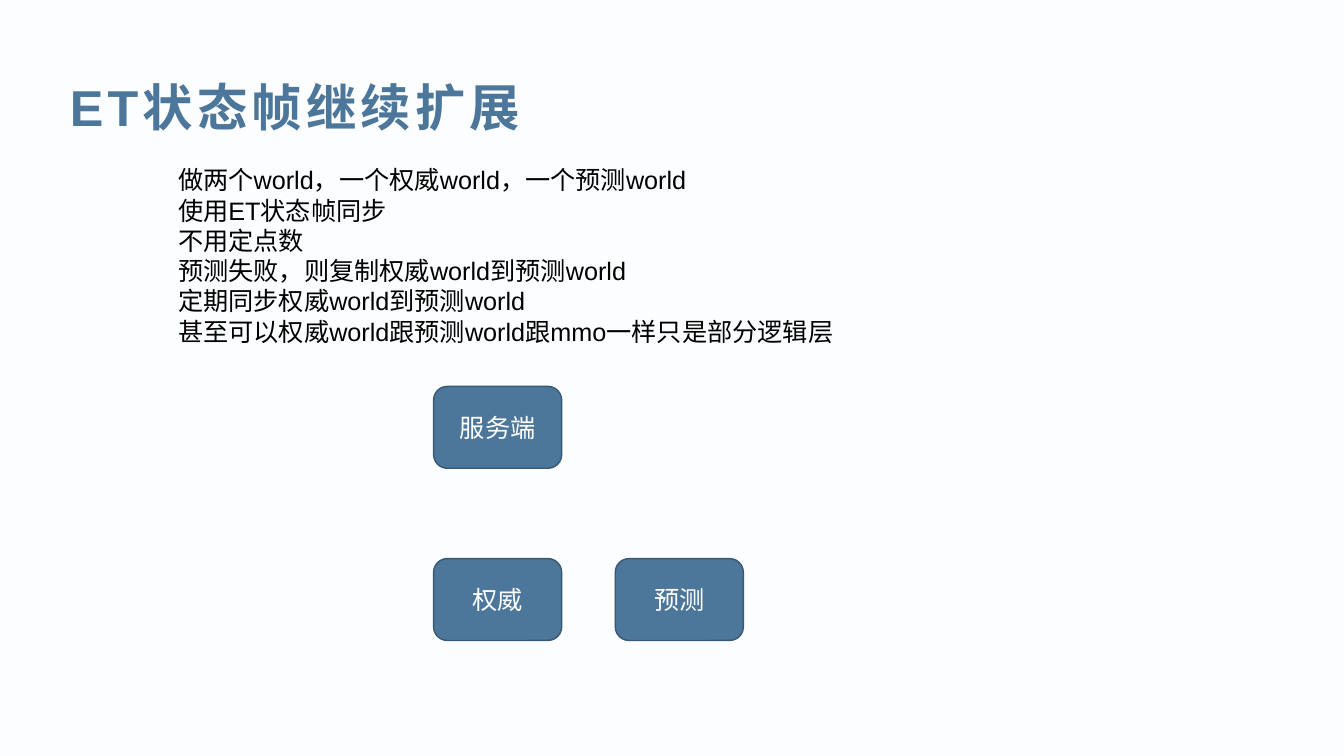
"""Build the slide on extending ET state frames with two worlds."""
from dataclasses import dataclass

from pptx import Presentation
from pptx.dml.color import RGBColor
from pptx.enum.shapes import MSO_SHAPE
from pptx.enum.text import MSO_ANCHOR, MSO_AUTO_SIZE, PP_ALIGN
from pptx.oxml.xmlchemy import OxmlElement
from pptx.util import Emu, Pt

ROUNDED = MSO_SHAPE.ROUNDED_RECTANGLE
TOP, MIDDLE = MSO_ANCHOR.TOP, MSO_ANCHOR.MIDDLE
LEFT, CENTER = PP_ALIGN.LEFT, PP_ALIGN.CENTER
NO_AUTOFIT = MSO_AUTO_SIZE.NONE
EMU_PER_PX = 9525


@dataclass(frozen=True)
class Theme:
    """Colours, font and type sizes of the slide."""
    background: RGBColor = RGBColor(0xFB, 0xFD, 0xFE)
    accent: RGBColor = RGBColor(0x4D, 0x77, 0x9A)
    outline: RGBColor = RGBColor(0x39, 0x58, 0x72)
    ink: RGBColor = RGBColor(0, 0, 0)
    light: RGBColor = RGBColor(0xFF, 0xFF, 0xFF)
    font: str = "Arial"
    title_size: int = 36
    text_size: int = 18
    title_spacing: int = 300


@dataclass(frozen=True)
class Frame:
    """Position and size in px."""
    left: int
    top: int
    width: int
    height: int


@dataclass(frozen=True)
class Node:
    """A labelled box at a grid column and row."""
    label: str
    column: int
    row: int


THEME = Theme()
TITLE_FRAME = Frame(57, 64, 1179, 74)
BODY_FRAME = Frame(160, 152, 972, 510)
GRID = Frame(413, 368, 122, 78)
COLUMN_STEP, ROW_STEP = 173, 164

TITLE = "ET状态帧继续扩展"
POINTS = (
    "做两个world，一个权威world，一个预测world",
    "使用ET状态帧同步",
    "不用定点数",
    "预测失败，则复制权威world到预测world",
    "定期同步权威world到预测world",
    "甚至可以权威world跟预测world跟mmo一样只是部分逻辑层",
)
NODES = (Node("预测", 1, 1), Node("权威", 0, 1), Node("服务端", 0, 0))


def px(length: int) -> Emu:
    """Turn px into EMU."""
    return Emu(length * EMU_PER_PX)


def place(box, frame: Frame) -> None:
    """Move and size a box."""
    box.left, box.top = px(frame.left), px(frame.top)
    box.width, box.height = px(frame.width), px(frame.height)


def write(para, text: str, size: int, color: RGBColor, align: PP_ALIGN, bold: bool = False):
    """Add one formatted run to a paragraph and return it."""
    para.alignment = align
    para.line_spacing = 1.0
    para.space_before = para.space_after = Pt(0)
    span = para.add_run()
    span.text = text
    span.font.name = THEME.font
    span.font.size = Pt(size)
    span.font.bold = bold
    span.font.color.rgb = color
    return span


def prepare(box, anchor: MSO_ANCHOR):
    """Set wrapping and anchoring, and return the text frame."""
    text_frame = box.text_frame
    text_frame.word_wrap = True
    text_frame.auto_size = NO_AUTOFIT
    text_frame.vertical_anchor = anchor
    return text_frame


def fill_title(box) -> None:
    """Write the spaced title."""
    place(box, TITLE_FRAME)
    para = prepare(box, MIDDLE).paragraphs[0]
    span = write(para, TITLE, THEME.title_size, THEME.accent, LEFT, bold=True)
    span.font._element.set("spc", str(THEME.title_spacing))


def fill_body(box) -> None:
    """Write the points as plain lines."""
    place(box, BODY_FRAME)
    text_frame = prepare(box, TOP)
    for index, point in enumerate(POINTS):
        para = text_frame.add_paragraph() if index else text_frame.paragraphs[0]
        write(para, point, THEME.text_size, THEME.ink, LEFT)
        properties = para._p.get_or_add_pPr()
        properties.set("marL", "0")
        properties.set("indent", "0")
        properties.append(OxmlElement("a:buNone"))


def draw_node(page, node: Node) -> None:
    """Draw one rounded box on the grid."""
    left = GRID.left + node.column * COLUMN_STEP
    top = GRID.top + node.row * ROW_STEP
    box = page.shapes.add_shape(ROUNDED, px(left), px(top), px(GRID.width), px(GRID.height))
    box.shadow.inherit = False
    box.fill.solid()
    box.fill.fore_color.rgb = THEME.accent
    box.line.color.rgb = THEME.outline
    box.line.width = Pt(1)
    para = prepare(box, MIDDLE).paragraphs[0]
    write(para, node.label, THEME.text_size, THEME.light, CENTER)


def main() -> None:
    """Build and save the deck."""
    deck = Presentation()
    deck.slide_width, deck.slide_height = px(1280), px(720)
    page = deck.slides.add_slide(deck.slide_layouts[1])
    page.background.fill.solid()
    page.background.fill.fore_color.rgb = THEME.background
    fill_title(page.shapes.title)
    fill_body(page.placeholders[1])
    for node in NODES:
        draw_node(page, node)
    deck.save("out.pptx")


if __name__ == "__main__":
    main()
